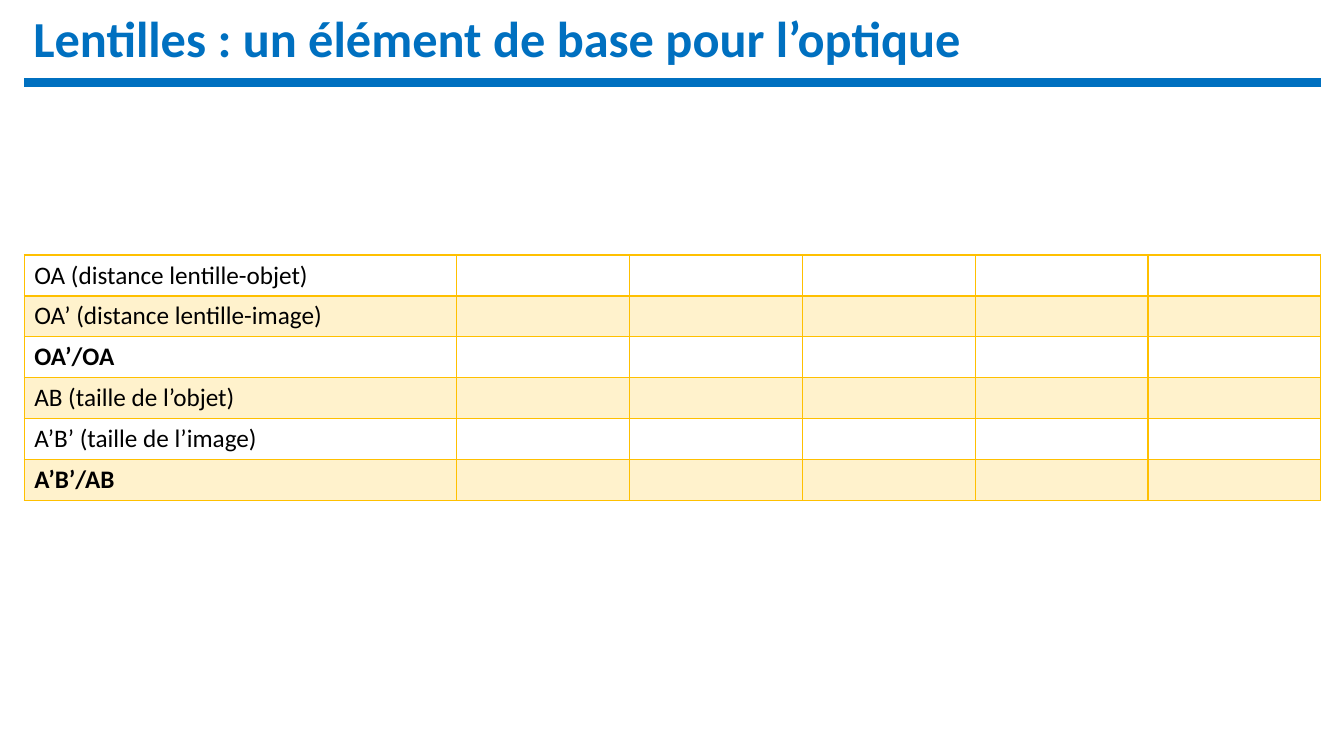
from lxml.etree import SubElement
from pptx import Presentation
from pptx.dml.color import RGBColor
from pptx.enum.shapes import MSO_CONNECTOR as Connector
from pptx.enum.text import MSO_ANCHOR as Anchor, MSO_AUTO_SIZE as AutoSize, PP_ALIGN as Align
from pptx.oxml import parse_xml
from pptx.oxml.ns import nsdecls, qn
from pptx.util import Emu, Pt

BLUE, GOLD, BLACK = "0070C0", "FFC000", "000000"
NO_STYLE = "{2D5ABB26-0587-4C30-8999-92F81FD0307C}"
TITLE_ONLY = 5

# Label and whether it is a ratio, shown in bold
MEASURES = [
    ("OA (distance lentille-objet)", False),
    ("OA’ (distance lentille-image)", False),
    ("OA’/OA", True),
    ("AB (taille de l’objet)", False),
    ("A’B’ (taille de l’image)", False),
    ("A’B’/AB", True),
]
TRIALS = 5


def px(count):
    """Convert px to EMU, at 100 px to the inch."""
    return Emu(count * 9144)


def color(hex_string):
    return RGBColor.from_string(hex_string)


class SlideBuilder:
    def __init__(self, presentation, font_name):
        self.font_name = font_name
        self.slide = presentation.slides.add_slide(presentation.slide_layouts[TITLE_ONLY])

    def style(self, paragraph, size, hex_string, bold=False):
        font = paragraph.font
        font.name, font.size, font.bold = self.font_name, Pt(size), bold
        font.color.rgb = color(hex_string)

    def title(self, text, left, top, width, height, indent):
        shape = self.slide.shapes.title
        shape.left, shape.top = px(left), px(top)
        shape.width, shape.height = px(width), px(height)
        frame = shape.text_frame
        frame.text = text
        frame.word_wrap = True
        frame.auto_size = AutoSize.NONE
        frame.vertical_anchor = Anchor.MIDDLE
        frame.margin_left = px(indent)
        paragraph = frame.paragraphs[0]
        paragraph.alignment = Align.LEFT
        paragraph.line_spacing = 0.9
        self.style(paragraph, 36, BLUE, bold=True)

    def rule(self, left, top, width, weight):
        line = self.slide.shapes.add_connector(
            Connector.STRAIGHT, px(left), px(top), px(left + width), px(top))
        line.line.color.rgb = color(BLUE)
        line.line.width = Pt(weight)
        SubElement(line._element.spPr, qn("a:effectLst"))

    def cell_borders(self, cell, weights):
        properties = cell._tc.get_or_add_tcPr()
        for side, weight in weights.items():
            properties.append(parse_xml(
                f'<a:ln{side} {nsdecls("a")} w="{Pt(weight)}"><a:solidFill>'
                f'<a:srgbClr val="{GOLD}"/></a:solidFill></a:ln{side}>'))

    def cell_fill(self, cell, banded):
        if not banded:
            cell.fill.background()
            return
        cell.fill.solid()
        cell.fill.fore_color.rgb = color(GOLD)
        tint = cell._tc.tcPr.find(qn("a:solidFill"))[0]
        SubElement(tint, qn("a:alpha"), val="20000")

    def measure_table(self, measures, trials, left, top, width, height, label_width):
        table = self.slide.shapes.add_table(
            len(measures), trials + 1, px(left), px(top), px(width), px(height)).table
        table.first_row = table.horz_banding = False
        table._tbl.tblPr.find(qn("a:tableStyleId")).text = NO_STYLE
        for index, column in enumerate(table.columns):
            column.width = px(label_width) if index == 0 else px(width - label_width) // trials
        for index, (label, bold) in enumerate(measures):
            weights = {
                "L": 1,
                "R": 1,
                "T": 2 if index == 1 else 1,
                "B": 2 if index == 0 else 1,
            }
            cells = table.rows[index].cells
            for cell in cells:
                self.cell_borders(cell, weights)
                self.cell_fill(cell, banded=index % 2 == 1)
            label_cell = table.cell(index, 0)
            label_cell.text = label
            self.style(label_cell.text_frame.paragraphs[0], 18, BLACK, bold)


def main():
    presentation = Presentation()
    presentation.slide_width, presentation.slide_height = px(1333), px(750)
    builder = SlideBuilder(presentation, "Calibri")
    builder.title("Lentilles : un élément de base pour l’optique", 0, 0, 1333, 82, indent=33)
    builder.rule(24, 82, 1286, weight=6)
    builder.measure_table(MEASURES, TRIALS, 24, 253, 1286, 243, label_width=429)
    presentation.save("out.pptx")


if __name__ == "__main__":
    main()
